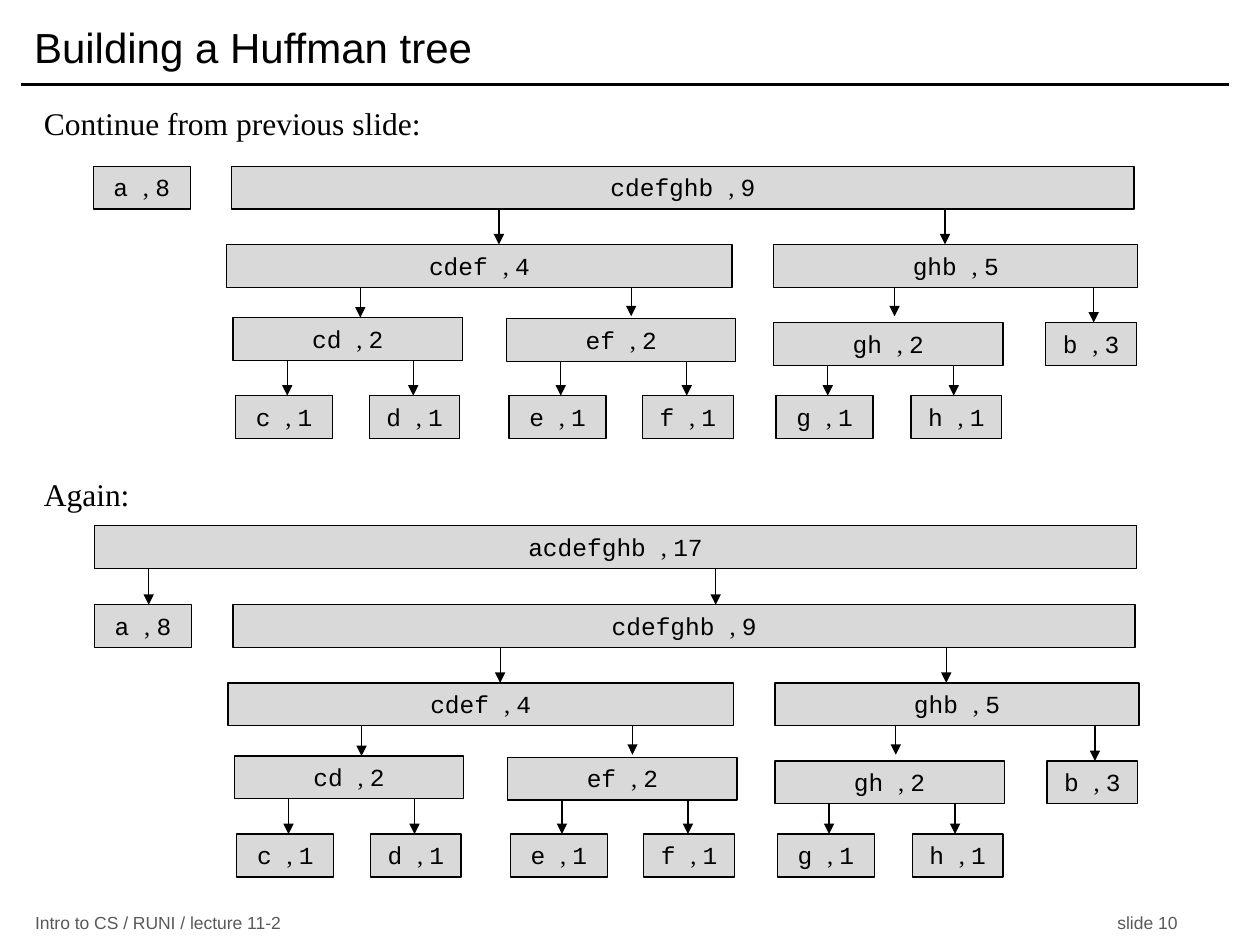
from lxml import etree
from pptx import Presentation
from pptx.dml.color import RGBColor
from pptx.enum.shapes import MSO_CONNECTOR, MSO_SHAPE
from pptx.enum.text import MSO_ANCHOR, PP_ALIGN
from pptx.oxml.ns import qn
from pptx.util import Inches, Pt

RECT = MSO_SHAPE.RECTANGLE
LINE = MSO_CONNECTOR.STRAIGHT
TOP, MID = MSO_ANCHOR.TOP, MSO_ANCHOR.MIDDLE
LEFT, MIDDLE = PP_ALIGN.LEFT, PP_ALIGN.CENTER
SANS, SERIF, MONO = "Arial", "Times New Roman", "Courier New"
HUES = {"ink": "000000", "box": "D9D9D9", "foot": "595959"}

TITLE = "Building a Huffman tree"
HEADS = [("Continue from previous slide:", 0.78), ("Again:", 3.72)]
FOOT = ("Intro to CS / RUNI / lecture 11-2", "slide 10")

BOX_H, ARROW_H = 0.34, 0.37
ROWS = (0, 0.62, 1.2, 1.82)
WIDE, SLIM, PAIR = 0.77, 0.72, 1.82

NODES = [
    ("a", 8, 0.74, ROWS[0], WIDE),
    ("cdefghb", 9, 1.84, ROWS[0], 7.16),
    ("cdef", 4, 1.8, ROWS[1], 4.01),
    ("ghb", 5, 6.14, ROWS[1], 2.89),
    ("cd", 2, 1.85, ROWS[2], PAIR),
    ("ef", 2, 4.02, ROWS[2] + 0.01, PAIR),
    ("gh", 2, 6.14, ROWS[2] + 0.04, PAIR),
    ("b", 3, 8.3, ROWS[2] + 0.04, SLIM),
    ("c", 1, 1.87, ROWS[3], WIDE),
    ("d", 1, 2.93, ROWS[3], SLIM),
    ("e", 1, 4.04, ROWS[3], WIDE),
    ("f", 1, 5.1, ROWS[3], SLIM),
    ("g", 1, 6.16, ROWS[3], WIDE),
    ("h", 1, 7.23, ROWS[3], SLIM),
]
TIPS = [
    (3.96, ROWS[1]), (7.5, ROWS[1]),
    (2.86, ROWS[2]), (5.01, ROWS[2] - 0.01),
    (7.1, ROWS[2] - 0.01), (8.68, ROWS[2] + 0.04),
] + [(x, ROWS[3]) for x in (2.28, 3.28, 4.45, 5.45, 6.57, 7.57)]
ROOT = ("acdefghb", 17, 0.74, -0.63, 8.27)
ROOT_TIPS = [(1.17, 0), (5.67, 0)]

TREES = [
    (0, 1.32, NODES, TIPS),
    (0.01, 4.8, [ROOT] + NODES, ROOT_TIPS + TIPS),
]

deck = Presentation()
deck.slide_width, deck.slide_height = Inches(10), Inches(7.5)
slide = deck.slides.add_slide(deck.slide_layouts[5])
shapes = slide.shapes


def tint(hue):
    return RGBColor.from_string(HUES[hue])


def add_run(para, text, size, face, hue="ink"):
    run = para.add_run()
    run.text = text
    run.font.size, run.font.name = Pt(size), face
    run.font.color.rgb = tint(hue)


def add_text(x, y, w, h, text, size, face, hue="ink", anchor=TOP):
    box = shapes.add_textbox(*map(Inches, (x, y, w, h)))
    box.text_frame.word_wrap = True
    box.text_frame.vertical_anchor = anchor
    para = box.text_frame.paragraphs[0]
    add_run(para, text, size, face, hue)
    return para


def add_line(x1, y1, x2, y2, width, arrow=False):
    line = shapes.add_connector(LINE, *map(Inches, (x1, y1, x2, y2)))
    line.line.color.rgb = tint("ink")
    line.line.width = Pt(width)
    if arrow:
        edge = line.line._get_or_add_ln()
        etree.SubElement(edge, qn("a:tailEnd"), type="triangle")
    etree.SubElement(line._element.spPr, qn("a:effectLst"))


def add_node(name, count, x, y, w):
    box = shapes.add_shape(RECT, *map(Inches, (x, y, w, BOX_H)))
    box.shadow.inherit = False
    box.fill.solid()
    box.fill.fore_color.rgb = tint("box")
    box.line.color.rgb = tint("ink")
    box.line.width = Pt(0.75)
    box.text_frame.vertical_anchor = TOP
    para = box.text_frame.paragraphs[0]
    para.alignment = MIDDLE
    for text, face in ((name + " ", MONO), (", ", SERIF), (str(count), MONO)):
        add_run(para, text, 14, face)


title = shapes.title
title.left, title.top = Inches(0.17), Inches(0.08)
title.width, title.height = Inches(9.58), Inches(0.58)
title.text_frame.vertical_anchor = MID
head = title.text_frame.paragraphs[0]
head.alignment = LEFT
add_run(head, TITLE, 24, SANS)
add_line(0.17, 0.67, 9.75, 0.67, 2)

foot = add_text(0.18, 7.23, 9.42, 0.19, "\t".join(FOOT), 10, SANS, "foot", MID)
tabs = etree.SubElement(foot._p.get_or_add_pPr(), qn("a:tabLst"))
etree.SubElement(tabs, qn("a:tab"), pos=str(Inches(8.59)), algn="l")

for text, y in HEADS:
    add_text(0.25, y, 8.76, 0.4, text, 18, SERIF)

for dx, top, nodes, tips in TREES:
    for x, y in tips:
        add_line(x + dx, top + y - ARROW_H, x + dx, top + y, 0.75, True)
    for name, count, x, y, w in nodes:
        add_node(name, count, x + dx, top + y, w)

deck.save("out.pptx")
